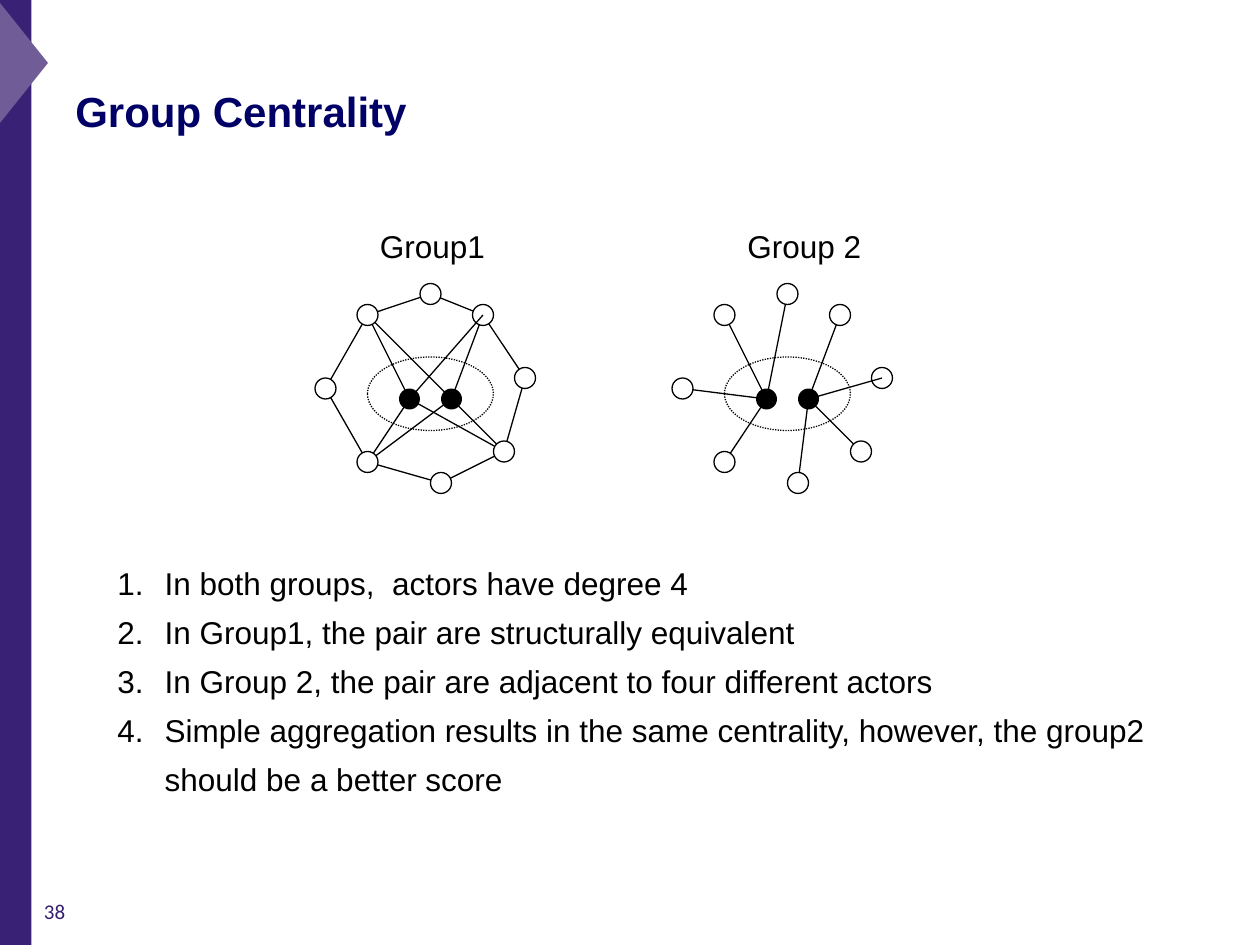
from lxml.etree import SubElement
from pptx import Presentation
from pptx.dml.color import RGBColor
from pptx.enum.dml import MSO_LINE
from pptx.enum.shapes import MSO_CONNECTOR, MSO_SHAPE
from pptx.enum.text import MSO_ANCHOR, MSO_AUTO_SIZE
from pptx.oxml.ns import qn
from pptx.util import Pt

COLORS = {
    "band": "392175",
    "arrow": "705D97",
    "title": "000066",
    "ink": "000000",
    "paper": "FFFFFF",
    "number": "361F6D",
}
NODE_SIZE = 12
GROUP_SHIFT = 204
PAIR = ("pair left", "pair right")

# Node centres in the first group; the second group is shifted to the right.
ACTORS = {
    "pair left": (234, 228),
    "pair right": (258, 228),
    "left": (186, 222),
    "upper left": (210, 180),
    "top": (246, 168),
    "upper right": (276, 180),
    "right": (300, 216),
    "lower right": (288, 258),
    "bottom": (252, 276),
    "lower left": (210, 264),
}
RING = [name for name in ACTORS if name not in PAIR]
SHARED_NEIGHBOURS = ["upper left", "upper right", "lower right", "lower left"]
GROUP1_TIES = list(zip(RING, RING[1:] + RING[:1])) + [
    (actor, member) for actor in SHARED_NEIGHBOURS for member in PAIR
]
GROUP2_TIES = [
    (actor, "pair left") for actor in ("left", "upper left", "top", "lower left")
] + [
    (actor, "pair right") for actor in ("upper right", "right", "lower right", "bottom")
]

FINDINGS = [
    "In both groups,  actors have degree 4",
    "In Group1, the pair are structurally equivalent",
    "In Group 2, the pair are adjacent to four different actors",
    "Simple aggregation results in the same centrality, however, "
    "the group2 should be a better score",
]


def rgb(name):
    return RGBColor.from_string(COLORS[name])


class SlideBuilder:
    def __init__(self, slide):
        self.slide = slide
        self.font = "Arial"
        self.line_width = Pt(0.75)

    def shape(self, kind, left, top, width, height, fill=None, line=None, shapes=None):
        shapes = shapes or self.slide.shapes
        shape = shapes.add_shape(kind, Pt(left), Pt(top), Pt(width), Pt(height))
        shape.shadow.inherit = False
        if fill:
            shape.fill.solid()
            shape.fill.fore_color.rgb = rgb(fill)
        else:
            shape.fill.background()
        if line:
            shape.line.color.rgb = rgb(line)
            shape.line.width = self.line_width
        else:
            shape.line.fill.background()
        return shape

    def tie(self, shapes, start, end):
        tie = shapes.add_connector(MSO_CONNECTOR.STRAIGHT, *map(Pt, start + end))
        tie.line.color.rgb = rgb("ink")
        tie.line.width = self.line_width
        SubElement(tie._element.spPr, qn("a:effectLst"))

    def text(self, left, top, width, height, lines, size=18, color="ink",
             bold=False, font=None, wrap=True, anchor=MSO_ANCHOR.TOP):
        box = self.slide.shapes.add_textbox(Pt(left), Pt(top), Pt(width), Pt(height))
        frame = box.text_frame
        frame.word_wrap = wrap
        frame.auto_size = MSO_AUTO_SIZE.NONE
        frame.vertical_anchor = anchor
        for index, line in enumerate(lines):
            paragraph = frame.add_paragraph() if index else frame.paragraphs[0]
            run = paragraph.add_run()
            run.text = line
            run.font.name = font or self.font
            run.font.size = Pt(size)
            run.font.bold = bold
            run.font.color.rgb = rgb(color)
        return frame

    def numbered_list(self, left, top, width, height, lines, indent=27):
        frame = self.text(left, top, width, height, lines)
        for paragraph in frame.paragraphs:
            paragraph.line_spacing = 1.3
            properties = paragraph._p.get_or_add_pPr()
            properties.set("marL", str(Pt(indent)))
            properties.set("indent", str(Pt(-indent)))
            SubElement(properties, qn("a:buFont"), typeface=self.font)
            SubElement(properties, qn("a:buAutoNum"), type="arabicPeriod")

    def network(self, shift, ties, tie_on_top):
        """Draw the actors over their ties, except for one tie that lies above."""
        shapes = self.slide.shapes.add_group_shape().shapes
        centres = {name: (x + shift, y) for name, (x, y) in ACTORS.items()}
        for start, end in ties:
            if (start, end) != tie_on_top:
                self.tie(shapes, centres[start], centres[end])
        for name, (x, y) in centres.items():
            fill, line = ("ink", None) if name in PAIR else ("paper", "ink")
            self.shape(MSO_SHAPE.OVAL, x - NODE_SIZE / 2, y - NODE_SIZE / 2,
                       NODE_SIZE, NODE_SIZE, fill, line, shapes)
        start, end = tie_on_top
        self.tie(shapes, centres[start], centres[end])
        boundary = self.shape(MSO_SHAPE.OVAL, 210 + shift, 204, 72, 42,
                              line="ink", shapes=shapes)
        boundary.line.dash_style = MSO_LINE.ROUND_DOT


def main():
    presentation = Presentation()
    presentation.slide_width, presentation.slide_height = Pt(720), Pt(540)
    builder = SlideBuilder(presentation.slides.add_slide(presentation.slide_layouts[6]))

    builder.shape(MSO_SHAPE.RECTANGLE, -0.7, 0, 18.7, 540, fill="band")
    arrow = builder.shape(MSO_SHAPE.ISOSCELES_TRIANGLE, -23, 21.6, 72, 28.8, fill="arrow")
    arrow.rotation = 90

    builder.numbered_list(60, 312, 641, 147.6, FINDINGS)
    builder.text(36, 18, 648, 90, ["Group Centrality"], size=24, color="title",
                 bold=True, anchor=MSO_ANCHOR.MIDDLE)
    builder.network(0, GROUP1_TIES, ("upper right", "pair left"))
    builder.network(GROUP_SHIFT, GROUP2_TIES, ("right", "pair right"))
    builder.text(210, 126, 74.2, 28.8, ["Group1"], wrap=False)
    builder.text(420, 126, 79.2, 28.8, ["Group 2"], wrap=False)
    builder.text(18, 510, 168, 28.8, ["38"], size=12, color="number", font="Calibri")

    presentation.save("out.pptx")


if __name__ == "__main__":
    main()
